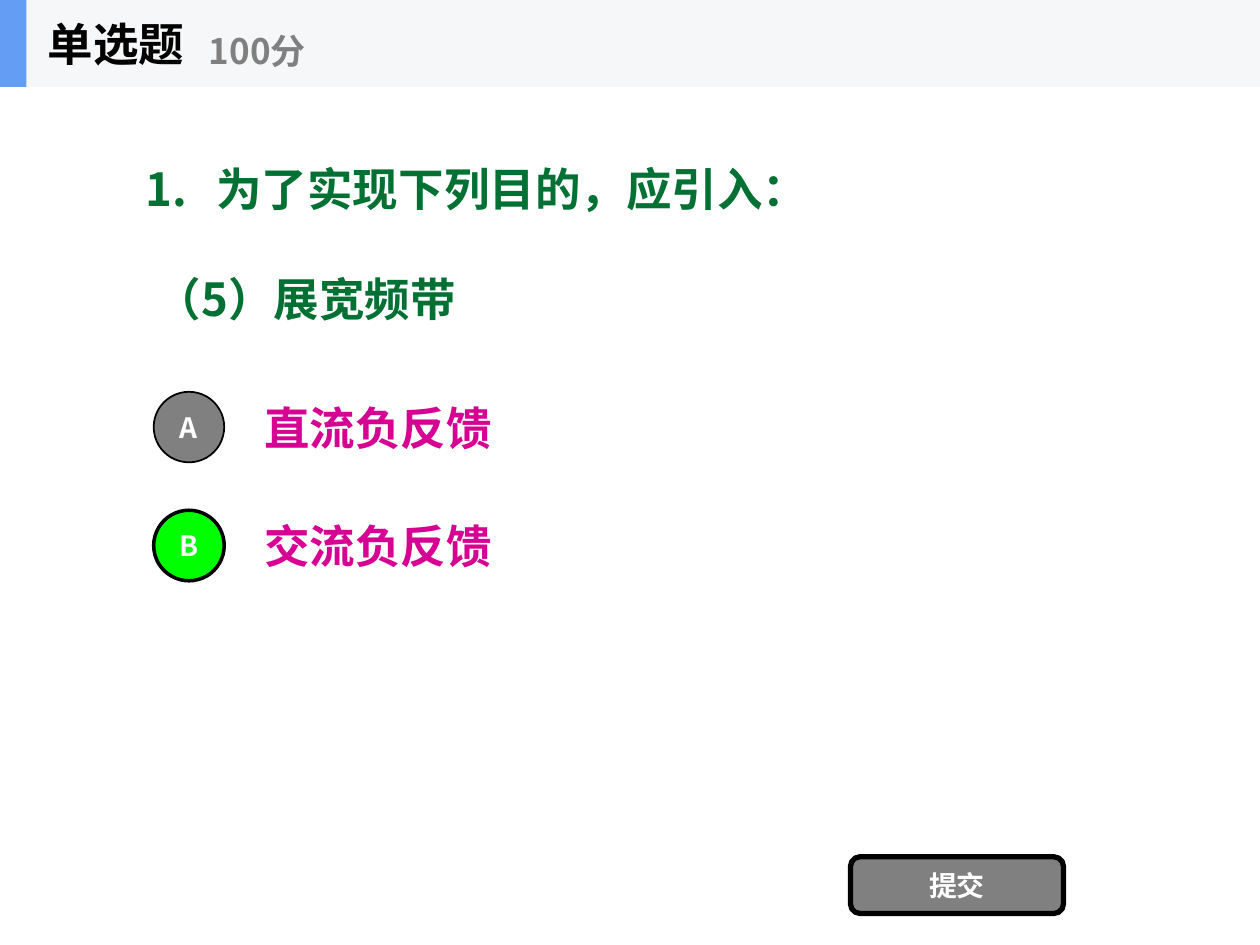
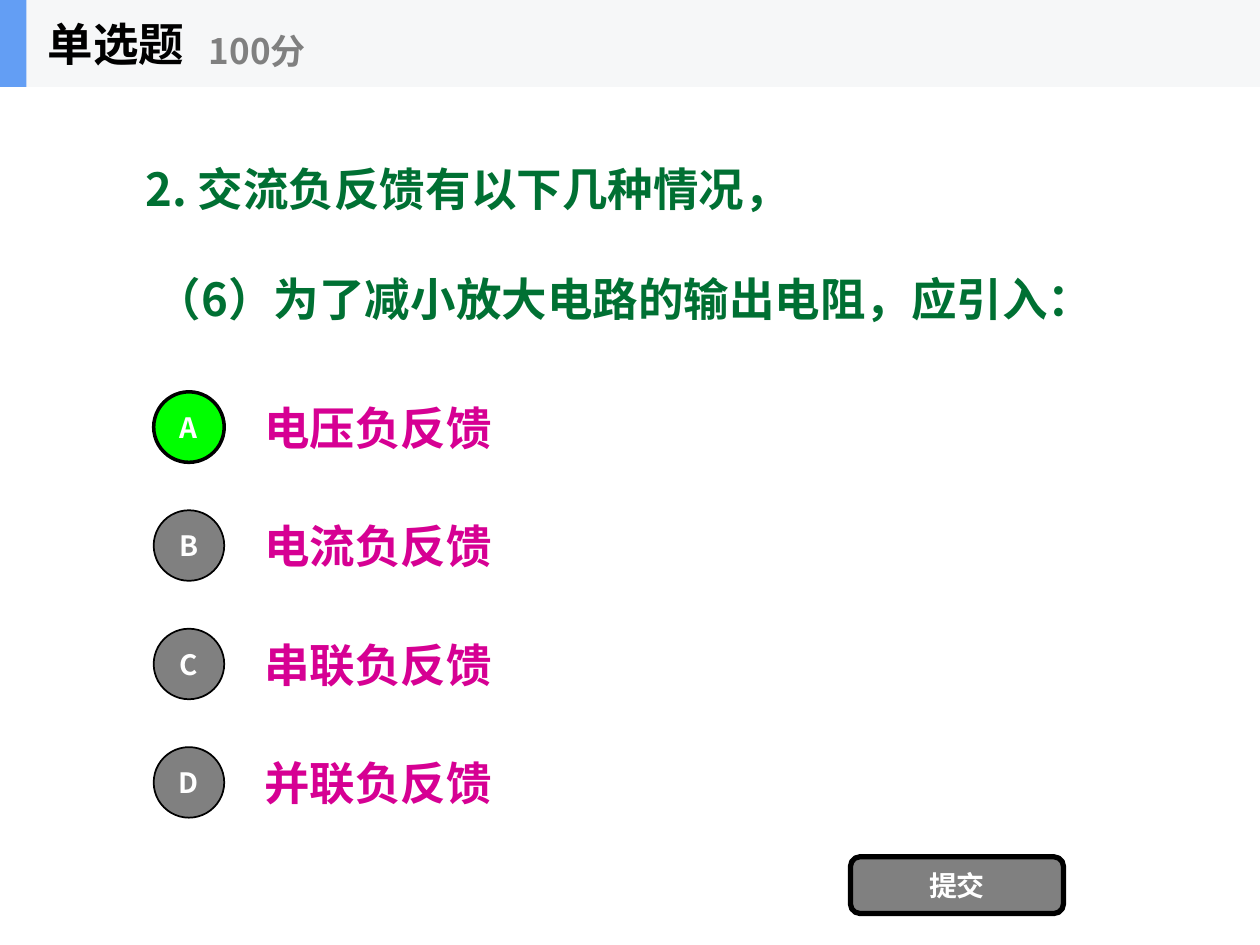
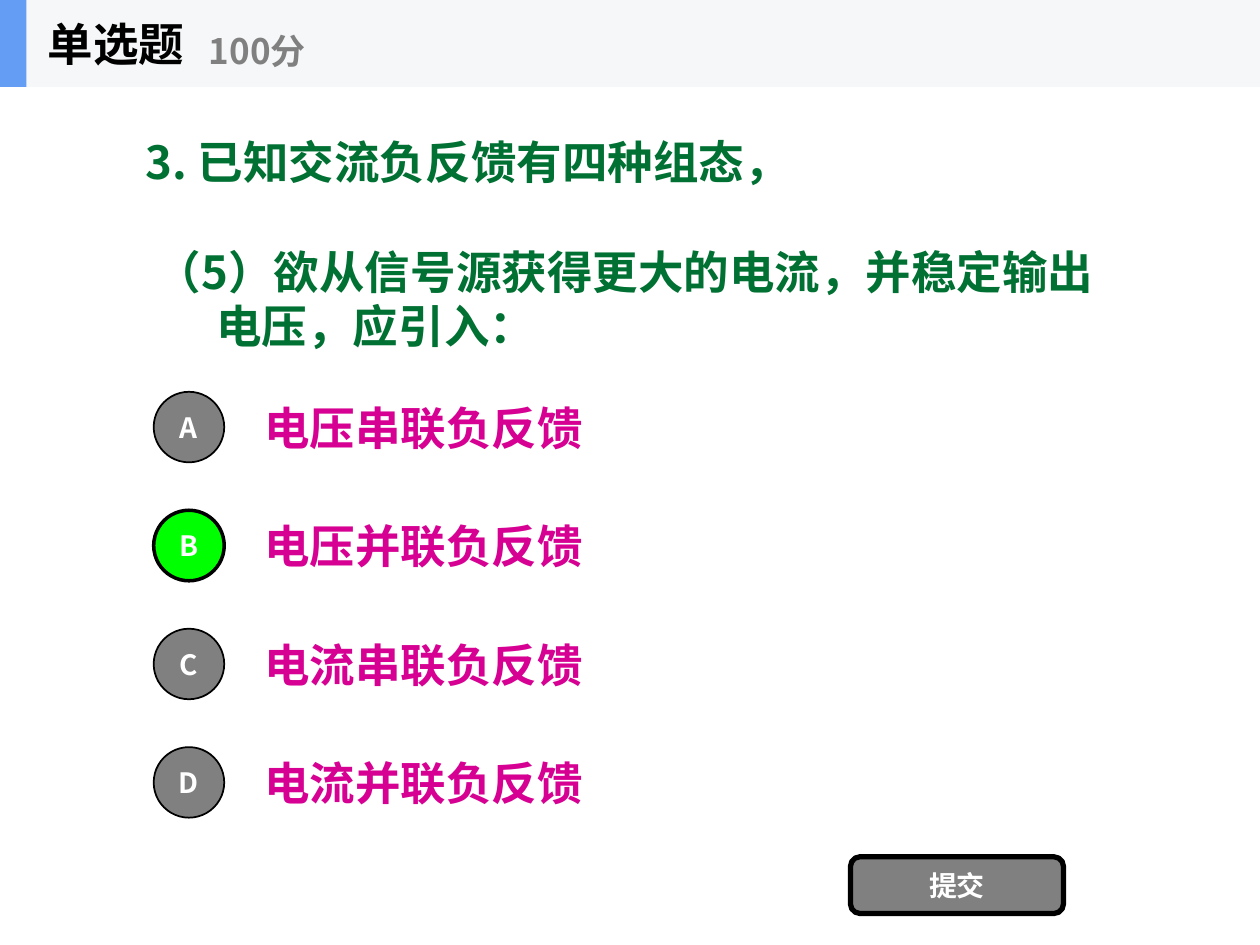
from pptx import Presentation
from pptx.dml.color import RGBColor
from pptx.enum.shapes import MSO_SHAPE as Shape
from pptx.enum.text import MSO_ANCHOR as Anchor, PP_ALIGN as Align
from pptx.oxml.ns import qn
from pptx.util import Inches, Pt
from lxml.etree import SubElement

# Shared style
FONT = "Noto Sans CJK SC"
BLACK, WHITE, GRAY = "000000", "FFFFFF", "808080"
BAND, ACCENT = "F6F7F8", "639EF4"
QUESTION, ANSWER, CORRECT = "007033", "D60093", "00FF00"
TEXT_SIZE, SCORE_SIZE, LABEL_SIZE = 26, 20, 16
LINE_PITCH = Pt(31.4)

# Option rows
FIRST_OPTION, OPTION_PITCH, BUBBLE = 3.11, 0.94, 0.56

# Each quiz: auto-numbered lead, lead, question, options, correct letter
QUIZZES = [
    (True, "为了实现下列目的，应引入：", "（5）展宽频带",
     ["直流负反馈", "交流负反馈"], "B"),
    (False, "2. 交流负反馈有以下几种情况，", "（6）为了减小放大电路的输出电阻，应引入：",
     ["电压负反馈", "电流负反馈", "串联负反馈", "并联负反馈"], "A"),
    (False, "3. 已知交流负反馈有四种组态，",
     "（5）欲从信号源获得更大的电流，并稳定输出电压，应引入：",
     ["电压串联负反馈", "电压并联负反馈", "电流串联负反馈", "电流并联负反馈"], "B"),
]


def color(value):
    return RGBColor.from_string(value)


def set_font(para, size, ink):
    font = para.font
    font.name, font.size, font.bold = FONT, Pt(size), True
    font.color.rgb = color(ink)
    defaults = para._p.pPr.find(qn("a:defRPr"))
    SubElement(defaults, qn("a:ea")).set("typeface", FONT)


def set_indent(para, first_line):
    properties = para._p.get_or_add_pPr()
    properties.set("marL", str(Inches(0.56)))
    properties.set("indent", str(Inches(first_line)))
    return properties


def add_text(shapes, place, text, size, ink):
    box = shapes.add_textbox(*map(Inches, place))
    frame = box.text_frame
    frame.word_wrap, frame.vertical_anchor = True, Anchor.MIDDLE
    para = frame.paragraphs[0]
    para.text = text
    set_font(para, size, ink)


def add_block(shapes, kind, place, fill, border=0, label=None):
    block = shapes.add_shape(kind, *map(Inches, place))
    block.shadow.inherit = False
    block.fill.solid()
    block.fill.fore_color.rgb = color(fill)
    if border:
        block.line.color.rgb = color(BLACK)
        block.line.width = Pt(border)
    else:
        block.line.fill.background()
    if label:
        frame = block.text_frame
        frame.margin_left = frame.margin_right = 0
        frame.margin_top = frame.margin_bottom = 0
        frame.vertical_anchor = Anchor.MIDDLE
        para = frame.paragraphs[0]
        para.text, para.alignment = label, Align.CENTER
        set_font(para, LABEL_SIZE, WHITE)


def add_question(page, numbered, lead, question):
    box = page.shapes.add_textbox(*map(Inches, (1.06, 0.76, 8, 2.34)))
    frame = box.text_frame
    frame.word_wrap, frame.vertical_anchor = True, Anchor.MIDDLE
    first, second = frame.paragraphs[0], frame.add_paragraph()
    first.text, second.text = lead, question
    properties = set_indent(first, -0.56)
    if numbered:
        SubElement(properties, qn("a:buAutoNum")).set("type", "arabicPeriod")
    set_indent(second, -0.48)
    second.space_before = LINE_PITCH
    for para in (first, second):
        para.line_spacing = LINE_PITCH
        set_font(para, TEXT_SIZE, QUESTION)


def add_options(page, options, correct):
    for row, (letter, option) in enumerate(zip("ABCD", options)):
        top = FIRST_OPTION + row * OPTION_PITCH
        fill, border = (CORRECT, 2) if letter == correct else (GRAY, 1)
        add_text(page.shapes, (2, top - 0.07, 7, 0.7), option, TEXT_SIZE, ANSWER)
        add_block(page.shapes, Shape.OVAL, (1.22, top, BUBBLE, BUBBLE),
                  fill, border, letter)


def add_header(page):
    shapes = page.shapes.add_group_shape().shapes
    add_block(shapes, Shape.RECTANGLE, (0, 0, 10, 0.69), BAND)
    add_block(shapes, Shape.RECTANGLE, (0, 0, 0.21, 0.69), ACCENT)
    add_text(shapes, (0.28, 0, 2.08, 0.69), "单选题", TEXT_SIZE, BLACK)
    add_text(shapes, (1.56, 0.12, 2.5, 0.56), "100分", SCORE_SIZE, GRAY)


def main():
    deck = Presentation()
    deck.slide_width, deck.slide_height = Inches(10), Inches(7.5)
    for numbered, lead, question, options, correct in QUIZZES:
        page = deck.slides.add_slide(deck.slide_layouts[6])
        add_question(page, numbered, lead, question)
        add_options(page, options, correct)
        # Submit button
        add_block(page.shapes, Shape.ROUNDED_RECTANGLE, (6.75, 6.8, 1.69, 0.45),
                  GRAY, 3, "提交")
        add_header(page)
    deck.save("out.pptx")


if __name__ == "__main__":
    main()
